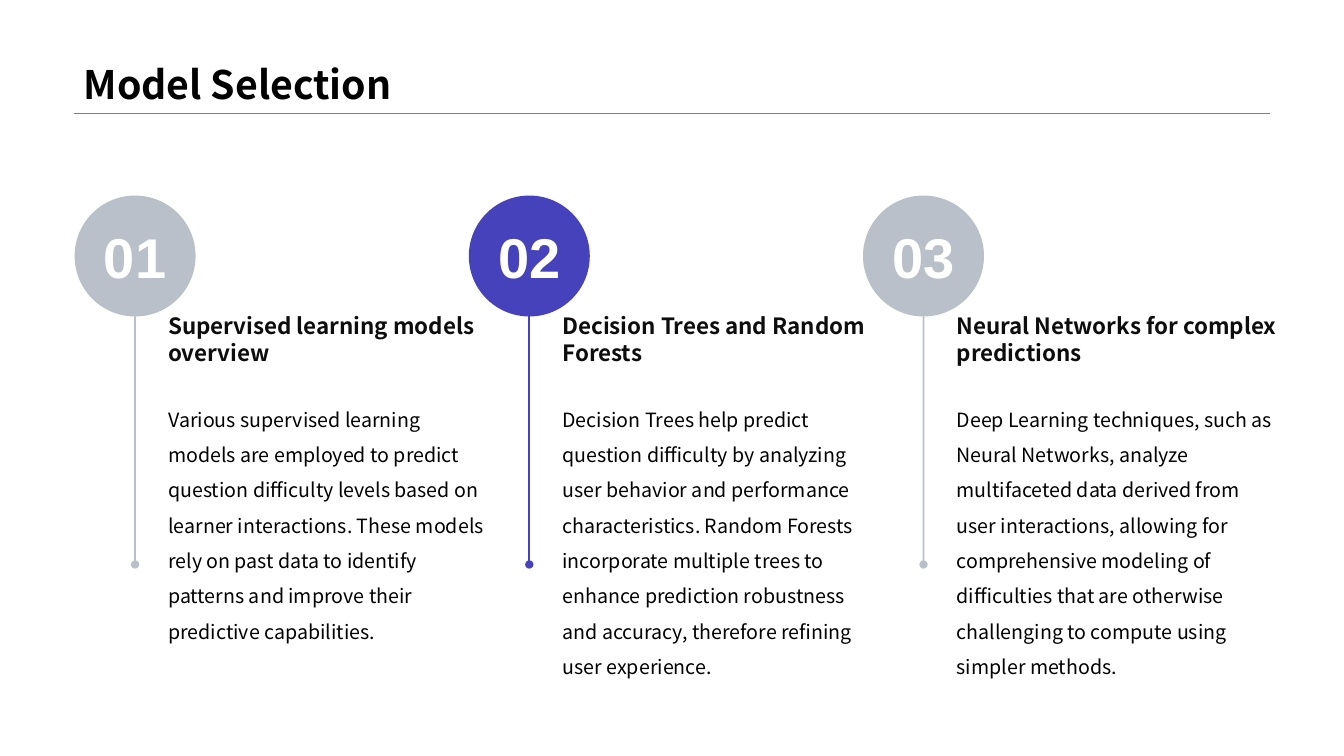
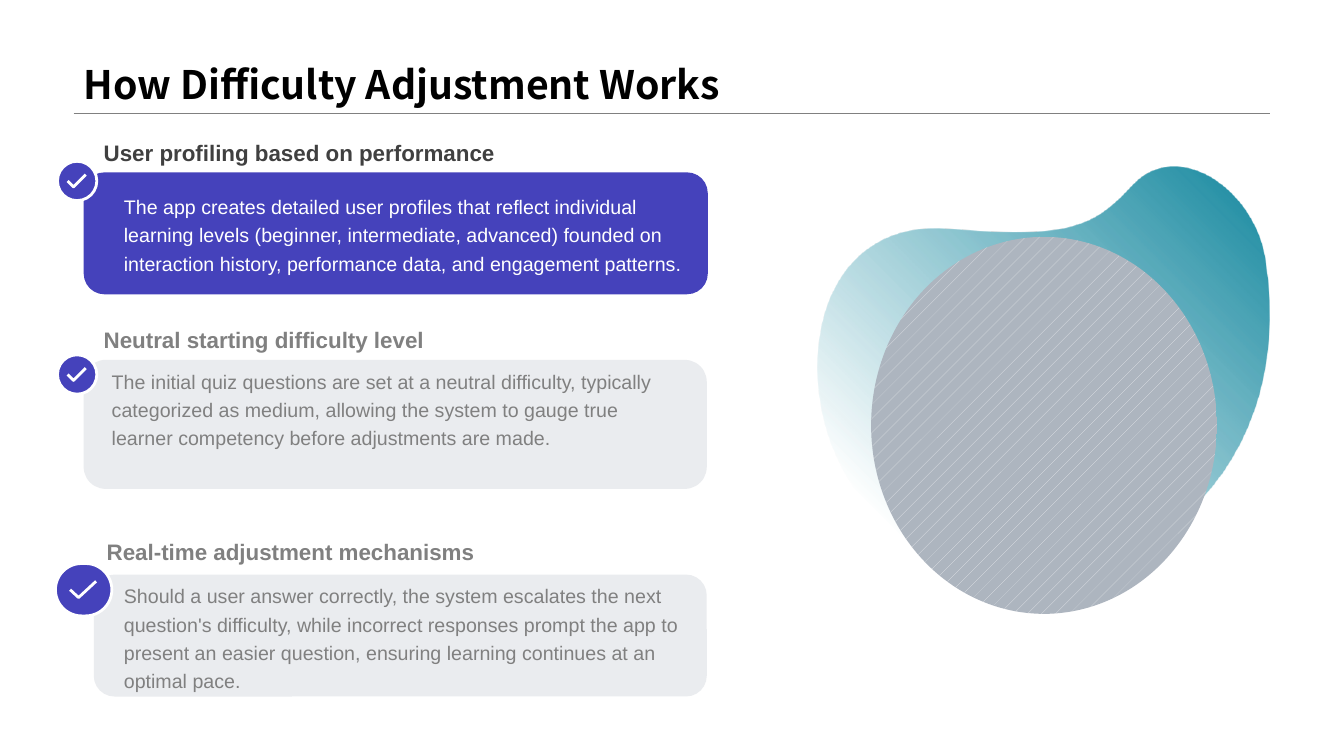
from lxml.etree import SubElement
from pptx import Presentation
from pptx.dml.color import RGBColor as RGB
from pptx.enum.dml import MSO_PATTERN_TYPE as PATTERN
from pptx.enum.shapes import MSO_CONNECTOR_TYPE as LINK, MSO_SHAPE as SHAPE
from pptx.enum.text import MSO_ANCHOR as ANCHOR, MSO_AUTO_SIZE as FIT, PP_ALIGN as ALIGN
from pptx.oxml.ns import qn
from pptx.util import Inches, Pt

COLORS = {
    "black": "000000", "ink": "0D0D0D", "dark": "404040", "gray": "808080",
    "white": "FFFFFF", "blue": "4542BB", "slate": "768394", "teal": "15889F",
    "dot": "E4E6EA", "disc": "ADB5BF",
}
SANS = "Noto Sans CJK SC"
FONTS = {
    "title": {"name": SANS, "size": Pt(28), "bold": True},
    "number": {"name": "Arial", "size": Pt(40), "bold": True},
    "topic": {"name": SANS, "size": Pt(16), "bold": True},
    "text": {"name": SANS, "size": Pt(14), "bold": False},
    "label": {"name": "Arial", "size": Pt(16), "bold": True},
    "note": {"name": "Arial", "size": Pt(14), "bold": False},
}
STEPS = [
    ("Supervised learning models overview", "slate", 50,
     "Various supervised learning models are employed to predict question difficulty levels "
     "based on learner interactions. These models rely on past data to identify patterns and "
     "improve their predictive capabilities."),
    ("Decision Trees and Random Forests", "blue", 100,
     "Decision Trees help predict question difficulty by analyzing user behavior and "
     "performance characteristics. Random Forests incorporate multiple trees to enhance "
     "prediction robustness and accuracy, therefore refining user experience."),
    ("Neural Networks for complex predictions", "slate", 50,
     "Deep Learning techniques, such as Neural Networks, analyze multifaceted data derived "
     "from user interactions, allowing for comprehensive modeling of difficulties that are "
     "otherwise challenging to compute using simpler methods."),
]
CARDS = [
    {"label": "User profiling based on performance", "ink": "dark", "at": (0.93, 1.33, 6.08, 0.37),
     "card": (0.83, 1.71, 6.19, 1.21), "fill": ("blue", 100),
     "badge": (0.57, 1.6, 0.39, 0.39), "body": (1.13, 1.84, 5.78, 0.64), "tone": "white",
     "note": "The app creates detailed user profiles that reflect individual learning levels "
             "(beginner, intermediate, advanced) founded on interaction history, performance "
             "data, and engagement patterns."},
    {"label": "Neutral starting difficulty level", "ink": "gray", "at": (0.93, 3.19, 6.08, 0.37),
     "card": (0.83, 3.57, 6.18, 1.28), "fill": ("slate", 15),
     "badge": (0.57, 3.52, 0.39, 0.39), "body": (1.01, 3.57, 5.59, 0.64), "tone": "gray",
     "note": "The initial quiz questions are set at a neutral difficulty, typically "
             "categorized as medium, allowing the system to gauge true learner competency "
             "before adjustments are made."},
    {"label": "Real-time adjustment mechanisms", "ink": "gray", "at": (0.96, 5.29, 5.59, 0.37),
     "card": (0.93, 5.7, 6.08, 1.21), "fill": ("slate", 15),
     "badge": (0.55, 5.59, 0.56, 0.52), "body": (1.13, 5.7, 5.78, 0.95), "tone": "gray",
     "note": "Should a user answer correctly, the system escalates the next question's "
             "difficulty, while incorrect responses prompt the app to present an easier "
             "question, ensuring learning continues at an optimal pace."},
]
START = (9.42, 2.27)
CURVES = [
    ((10.62, 2.37), (10.85, 2.25), (11.23, 1.84)),
    ((11.67, 1.36), (12.44, 1.87), (12.55, 2.57)),
    ((12.82, 4.24), (11.85, 5.51), (10.46, 5.67)),
    ((8.96, 5.84), (8.17, 4.79), (8.11, 3.77)),
    ((8.06, 2.86), (8.54, 2.19), START),
]


def box(*sizes):
    return [Inches(size) for size in sizes]


def color(key):
    return RGB.from_string(COLORS[key])


def fade(node, alpha):
    SubElement(node, qn("a:alpha")).set("val", str(alpha * 1000))


def paint(fill, key, alpha=100):
    fill.solid()
    fill.fore_color.rgb = color(key)
    if alpha < 100:
        fade(fill._xPr.find(qn("a:solidFill"))[0], alpha)


def write(frame, text, style, key, gap=1.0, align=ALIGN.LEFT):
    frame.text = text
    para = frame.paragraphs[0]
    para.alignment = align
    para.line_spacing = gap
    for name, value in FONTS[style].items():
        setattr(para.font, name, value)
    para.font.color.rgb = color(key)


def add_text(slide, at, text, style, key, gap=1.0, anchor=ANCHOR.TOP):
    frame = slide.shapes.add_textbox(*box(*at)).text_frame
    frame.word_wrap = True
    frame.auto_size = FIT.SHAPE_TO_FIT_TEXT
    frame.vertical_anchor = anchor
    write(frame, text, style, key, gap)


def add_form(shapes, kind, at, key, alpha=100):
    form = shapes.add_shape(kind, *box(*at))
    form.shadow.inherit = False
    paint(form.fill, key, alpha)
    form.line.fill.background()
    return form


def add_line(slide, start, end, key, width, alpha=100, dot=False):
    line = slide.shapes.add_connector(LINK.STRAIGHT, *box(*start, *end))
    paint(line.line.fill, key, alpha)
    line.line.width = Pt(width)
    if dot:
        SubElement(line.line._get_or_add_ln(), qn("a:tailEnd")).set("type", "oval")
    SubElement(line._element.spPr, qn("a:effectLst"))


def add_path(shapes, points, close):
    first, *rest = [box(*point) for point in points]
    pen = shapes.build_freeform(*first)
    pen.add_line_segments(rest, close=close)
    form = pen.convert_to_shape()
    form.shadow.inherit = False
    return form


def add_slide(deck, text):
    slide = deck.slides.add_slide(deck.slide_layouts[5])
    add_line(slide, (0.73, 1.12), (12.6, 1.12), "gray", 0.25)
    title = slide.shapes.title
    title.left, title.top, title.width, title.height = box(0.73, 0, 11.87, 1.12)
    frame = title.text_frame
    frame.auto_size = FIT.NONE
    frame.vertical_anchor = ANCHOR.BOTTOM
    write(frame, text, "title", "black", 0.9)
    return slide


def add_step(slide, index, topic, key, alpha, text):
    left, top, size = 0.74 + 3.91 * index, 1.94, 1.2
    mid = left + size / 2
    disc = add_form(slide.shapes, SHAPE.OVAL, (left, top, size, size), key, alpha)
    frame = disc.text_frame
    frame.word_wrap = False
    frame.vertical_anchor = ANCHOR.MIDDLE
    write(frame, f"{index + 1:02}", "number", "white", align=ALIGN.CENTER)
    add_line(slide, (mid, top + size), (mid, 5.6), key, 1.25, alpha, True)
    add_text(slide, (left + 0.83, 3.88, 3.39, 1.53), text, "text", "black", 1.5)
    add_text(slide, (left + 0.83, 3.18, 3.39, 0.37), topic, "topic", "ink", anchor=ANCHOR.MIDDLE)


def add_badge(slide, left, top, width, height):
    shapes = slide.shapes.add_group_shape().shapes
    disc = add_form(shapes, SHAPE.ROUNDED_RECTANGLE, (left, top, width, height), "blue")
    disc.adjustments[0] = 0.5
    marks = [(0.72, 0.34), (0.41, 0.65), (0.26, 0.5)]
    tick = add_path(shapes, [(left + x * width, top + y * height) for x, y in marks], False)
    tick.fill.background()
    for form in (disc, tick):
        paint(form.line.fill, "white")
        form.line.width = Pt(2)


def add_card(slide, card):
    form = add_form(slide.shapes, SHAPE.ROUNDED_RECTANGLE, card["card"], *card["fill"])
    form.adjustments[0] = 0.17
    add_badge(slide, *card["badge"])
    add_text(slide, card["at"], card["label"], "label", card["ink"])
    add_text(slide, card["body"], card["note"], "note", card["tone"], 1.2)


def trace(start, curves, count=24):
    points = [start]
    for one, two, end in curves:
        for step in range(1, count + 1):
            t = step / count
            u = 1 - t
            points.append(tuple(
                u ** 3 * a + 3 * u * u * t * b + 3 * u * t * t * c + t ** 3 * d
                for a, b, c, d in zip(start, one, two, end)))
        start = end
    return points


def add_art(slide):
    shapes = slide.shapes.add_group_shape().shapes
    blob = add_path(shapes, trace(START, CURVES), True)
    blob.line.fill.background()
    blob.fill.gradient()
    blob.fill.gradient_angle = 225
    for stop, place in zip(blob.fill.gradient_stops, (0, 0.86)):
        stop.color.rgb = color("teal")
        stop.position = place
    fade(blob._element.spPr.findall(".//" + qn("a:srgbClr"))[-1], 0)
    disc = add_form(shapes, SHAPE.OVAL, (8.64, 2.35, 3.43, 3.74), "disc")
    disc.fill.patterned()
    disc.fill.pattern = PATTERN.PERCENT_5
    disc.fill.fore_color.rgb = color("dot")
    disc.fill.back_color.rgb = color("disc")


def main():
    deck = Presentation()
    deck.slide_width, deck.slide_height = box(13.33, 7.5)
    slide = add_slide(deck, "Model Selection")
    for index, step in enumerate(STEPS):
        add_step(slide, index, *step)
    slide = add_slide(deck, "How Difficulty Adjustment Works")
    add_art(slide)
    for card in CARDS:
        add_card(slide, card)
    deck.save("out.pptx")


if __name__ == "__main__":
    main()
